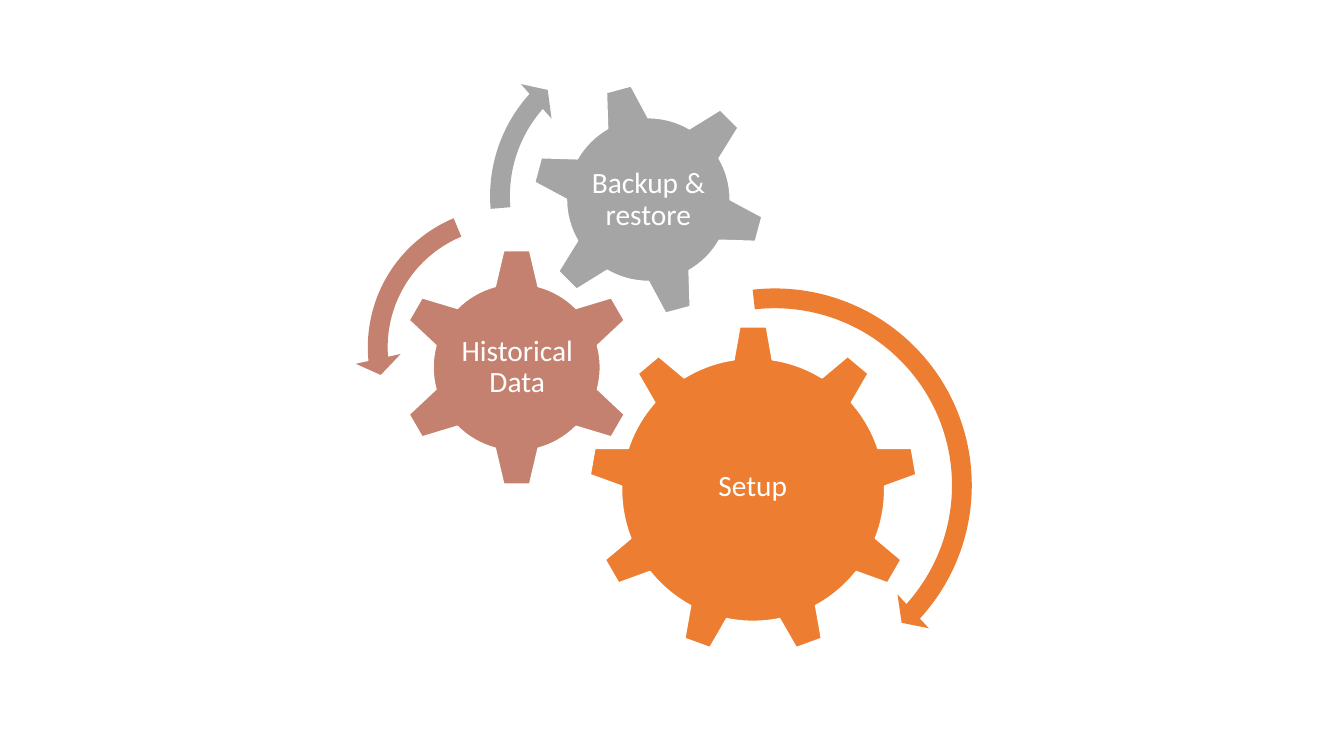
"""Build a slide of three meshing gears, each with a turning arrow."""
import dataclasses
import typing

import pptx
import pptx.dml.color
import pptx.enum.shapes
import pptx.enum.text
import pptx.util

Kind = pptx.enum.shapes.MSO_SHAPE
Color = pptx.dml.color.RGBColor
WIDE = pptx.util.Inches(13.33)
HIGH = pptx.util.Inches(7.5)


@dataclasses.dataclass(frozen=True)
class Theme:
    """Colours and type of the slide."""
    orange: str = "ED7D31"
    rose: str = "C48170"
    gray: str = "A5A5A5"
    white: str = "FFFFFF"
    font: str = "Calibri"
    size: float = 21
    edge: float = 1
    inset: float = 0.03


class Spot(typing.NamedTuple):
    """Centre and size in percent of the slide; no height means a square."""
    x: float
    y: float
    wide: float
    high: float = 0

    def place(self) -> tuple[int, int, int, int]:
        """Give left, top, width and height."""
        wide = WIDE * self.wide / 100
        high = HIGH * self.high / 100 or wide
        left = WIDE * self.x / 100 - wide / 2
        top = HIGH * self.y / 100 - high / 2
        return round(left), round(top), round(wide), round(high)


@dataclasses.dataclass(frozen=True)
class Gear:
    """A gear with its label and its arrow."""
    text: str
    color: str
    kind: Kind
    wheel: Spot
    label: Spot
    arrow: Kind
    orbit: Spot
    bends: tuple[float, ...]
    turn: float = 0


THEME = Theme()
GEARS = (
    Gear("Setup", THEME.orange, Kind.GEAR_9,
         Spot(56.04, 64.8, 24.46), Spot(56, 64.4, 14.63, 22.4),
         Kind.CIRCULAR_ARROW, Spot(57.65, 64.2, 31.28),
         (0.047, 2.99, 25.393, 158.123, 0.055)),
    Gear("Historical Data", THEME.rose, Kind.GEAR_6,
         Spot(38.45, 48.6, 17.78), Spot(38.48, 48.6, 8.87, 15.6),
         Kind.LEFT_CIRCULAR_ARROW, Spot(37.77, 45.93, 22.73),
         (0.065, 4.3, 104.891, 148.378, 0.075)),
    Gear("Backup & restore", THEME.gray, Kind.GEAR_6,
         Spot(48.24, 26.4, 17.4), Spot(48.24, 26.4, 9.75, 17.33),
         Kind.CIRCULAR_ARROW, Spot(47.75, 25.93, 24.53),
         (0.06, 3.941, 133.138, 105.082, 0.07), 345),
)


def add_form(slide, kind: Kind, spot: Spot, color: str):
    """Draw a flat filled shape without a line."""
    form = slide.shapes.add_shape(kind, *spot.place())
    form.shadow.inherit = False
    form.fill.solid()
    form.fill.fore_color.rgb = Color.from_string(color)
    form.line.fill.background()
    return form


def add_wheel(slide, gear: Gear) -> None:
    """Draw the toothed wheel with a white edge."""
    wheel = add_form(slide, gear.kind, gear.wheel, gear.color)
    wheel.rotation = gear.turn
    wheel.line.color.rgb = Color.from_string(THEME.white)
    wheel.line.width = pptx.util.Pt(THEME.edge)


def add_label(slide, gear: Gear) -> None:
    """Write the label in the middle of the wheel."""
    frame = slide.shapes.add_textbox(*gear.label.place()).text_frame
    frame.word_wrap = True
    frame.vertical_anchor = pptx.enum.text.MSO_ANCHOR.MIDDLE
    inset = pptx.util.Inches(THEME.inset)
    frame.margin_left = frame.margin_right = inset
    frame.margin_top = frame.margin_bottom = inset
    line = frame.paragraphs[0]
    line.text = gear.text
    line.alignment = pptx.enum.text.PP_ALIGN.CENTER
    line.line_spacing = 0.9
    line.font.name = THEME.font
    line.font.size = pptx.util.Pt(THEME.size)
    line.font.color.rgb = Color.from_string(THEME.white)


def add_arrow(slide, gear: Gear) -> None:
    """Draw the arrow that shows which way the wheel turns."""
    arrow = add_form(slide, gear.arrow, gear.orbit, gear.color)
    for index, bend in enumerate(gear.bends):
        arrow.adjustments[index] = bend


def main() -> None:
    """Build and save the slide."""
    deck = pptx.Presentation()
    deck.slide_width, deck.slide_height = WIDE, HIGH
    slide = deck.slides.add_slide(deck.slide_layouts[6])
    for gear in GEARS:
        add_wheel(slide, gear)
        add_label(slide, gear)
    for gear in GEARS:
        add_arrow(slide, gear)
    deck.save("out.pptx")


if __name__ == "__main__":
    main()
